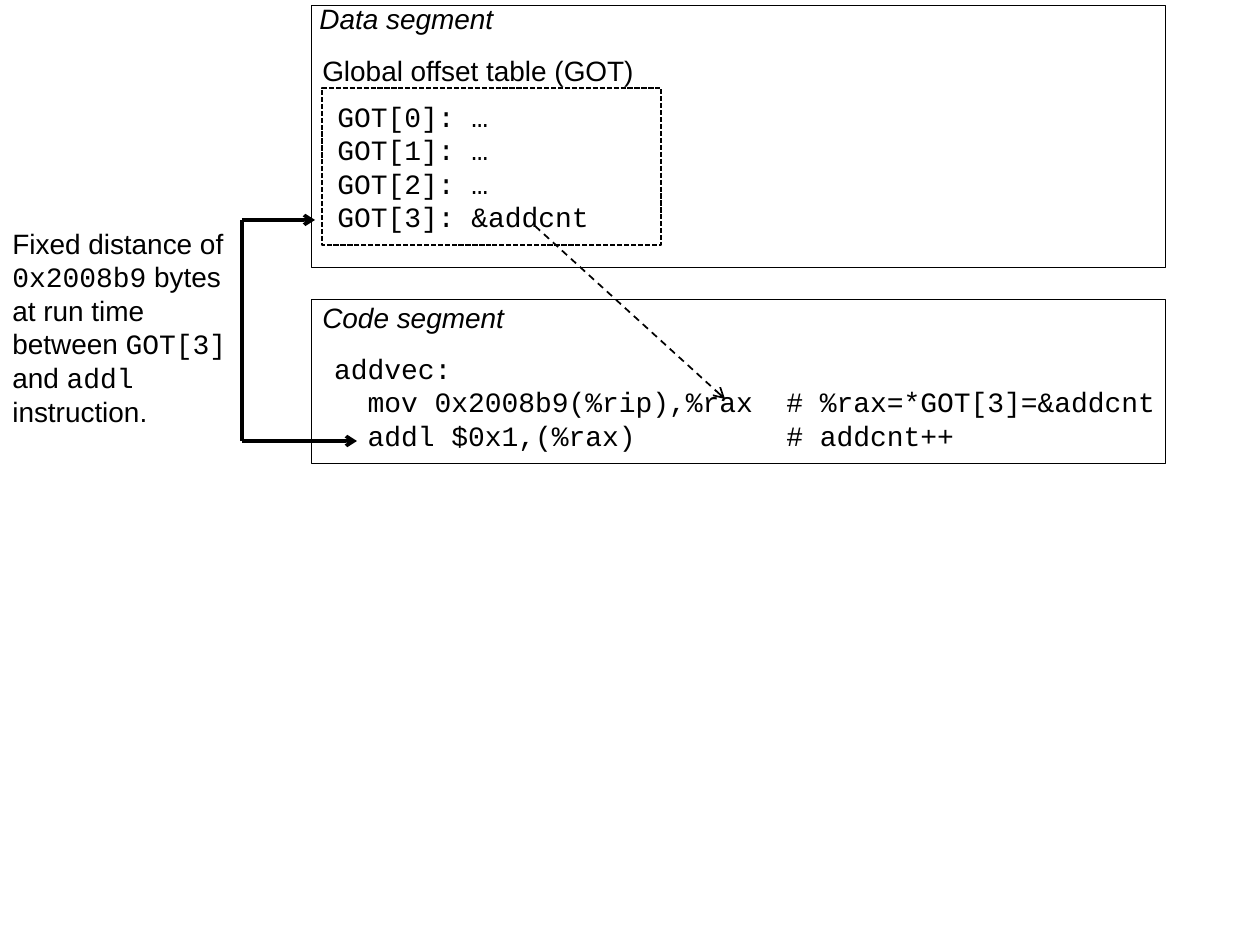
from lxml.etree import SubElement
from pptx import Presentation
from pptx.dml.color import RGBColor
from pptx.enum.dml import MSO_LINE_DASH_STYLE as Dash
from pptx.enum.shapes import MSO_CONNECTOR as Connector, MSO_SHAPE as Shape
from pptx.enum.text import MSO_AUTO_SIZE as AutoSize
from pptx.oxml.ns import qn
from pptx.util import Emu, Pt

PX = 914400 / 126
BLACK, WHITE = "000000", "FFFFFF"
SANS, MONO = "Arial", "Courier New"


def px(*lengths):
    """Turn pixel lengths into EMU."""
    return [Emu(round(length * PX)) for length in lengths]


def color(target, value):
    """Set a colour format from a hex string."""
    target.rgb = RGBColor.from_string(value)


def add_frame(page, left, top, width, height, weight, fill=None, dash=None):
    """Draw an outlined rectangle."""
    frame = page.shapes.add_shape(Shape.RECTANGLE, *px(left, top, width, height))
    frame.shadow.inherit = False
    if fill:
        frame.fill.solid()
        color(frame.fill.fore_color, fill)
    else:
        frame.fill.background()
    color(frame.line.color, BLACK)
    frame.line.width = Pt(weight)
    if dash:
        frame.line.dash_style = dash


def add_text(page, left, top, width, height, lines, wrap=True, italic=False):
    """Place lines of (text, font) spans in a text box."""
    box = page.shapes.add_textbox(*px(left, top, width, height))
    frame = box.text_frame
    frame.word_wrap = wrap
    frame.auto_size = AutoSize.SHAPE_TO_FIT_TEXT
    for index, line in enumerate(lines):
        para = frame.add_paragraph() if index else frame.paragraphs[0]
        for text, font in line:
            span = para.add_run()
            span.text = text
            span.font.name = font
            span.font.size = Pt(16)
            span.font.italic = italic
            color(span.font.color, BLACK)


def add_line(page, start, end, weight, arrow=True, dash=None):
    """Draw a straight line, with an arrowhead at its end if asked."""
    line = page.shapes.add_connector(Connector.STRAIGHT, *px(*start, *end))
    color(line.line.color, BLACK)
    line.line.width = Pt(weight)
    if dash:
        line.line.dash_style = dash
    properties = line._element.spPr
    if arrow:
        SubElement(properties.find(qn("a:ln")), qn("a:tailEnd"), type="arrow")
    SubElement(properties, qn("a:effectLst"))


def draw_data_segment(page, left, top, width, height):
    """Draw the data segment with its global offset table."""
    add_frame(page, left, top, width, height, 0.25, WHITE)
    add_frame(page, left + 11, top + 83, 339, 157, 1, dash=Dash.SQUARE_DOT)
    add_text(page, left - 1, top + 42, 340, 47,
             [[("Global offset table (GOT)", SANS)]], wrap=False)
    add_text(page, left - 4, top - 10, 208, 47,
             [[("Data segment", SANS)]], wrap=False, italic=True)
    values = ["…", "…", "…", "&addcnt"]
    entries = [[(f"GOT[{index}]: {value}", MONO)] for index, value in enumerate(values)]
    add_text(page, left + 14, top + 88, 284, 149, entries)


def draw_code_segment(page, left, top, width, height):
    """Draw the code segment with its listing."""
    add_frame(page, left, top, width, height, 0.25, WHITE)
    add_text(page, left - 1, top - 5, 215, 47,
             [[("Code segment", SANS)]], wrap=False, italic=True)
    code = [
        " addvec:",
        "   mov 0x2008b9(%rip),%rax  # %rax=*GOT[3]=&addcnt",
        "   addl $0x1,(%rax)         # addcnt++",
    ]
    add_text(page, left - 6, top + 46, 892, 149, [[(line, MONO)] for line in code])


def draw_distance(page, left, top, width, height):
    """Draw the distance note and the bracket on its right."""
    note = [
        ("Fixed distance of ", SANS), ("0x2008b9", MONO),
        (" bytes at run time between ", SANS), ("GOT[3]", MONO),
        (" and ", SANS), ("addl", MONO), (" instruction.", SANS),
    ]
    add_text(page, left, top, width, height, [note])
    right, bottom = left + width, top + height
    add_line(page, (right, bottom), (right + 115, bottom), 2)
    add_line(page, (right, bottom), (right, top), 2, arrow=False)
    add_line(page, (right, top), (right + 73, top), 2)


def main():
    """Build the slide and save it."""
    deck = Presentation()
    deck.slide_width, deck.slide_height = px(1260, 945)
    page = deck.slides.add_slide(deck.slide_layouts[6])
    draw_code_segment(page, 311, 299, 854, 164)
    draw_data_segment(page, 311, 5, 854, 262)
    draw_distance(page, 0, 220, 242, 221)
    add_line(page, (535, 226), (725, 399), 1, dash=Dash.DASH)
    deck.save("out.pptx")


if __name__ == "__main__":
    main()
